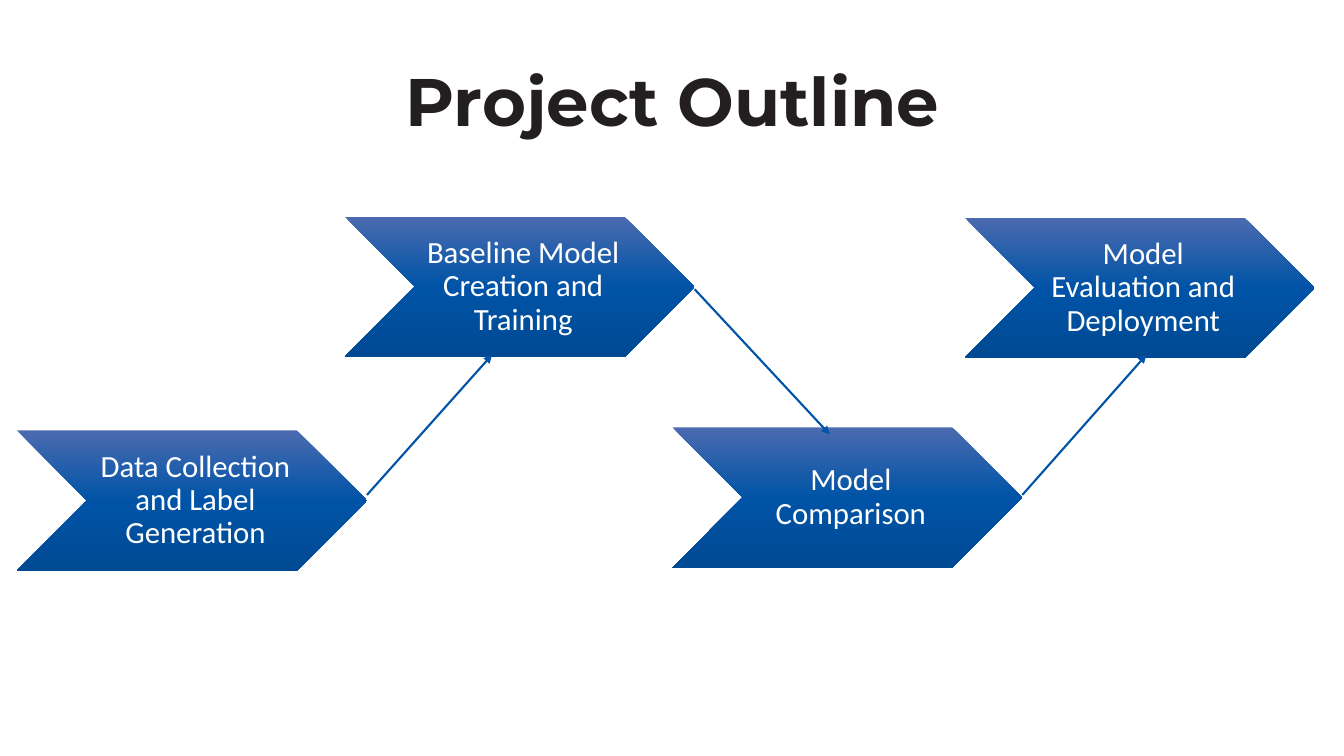
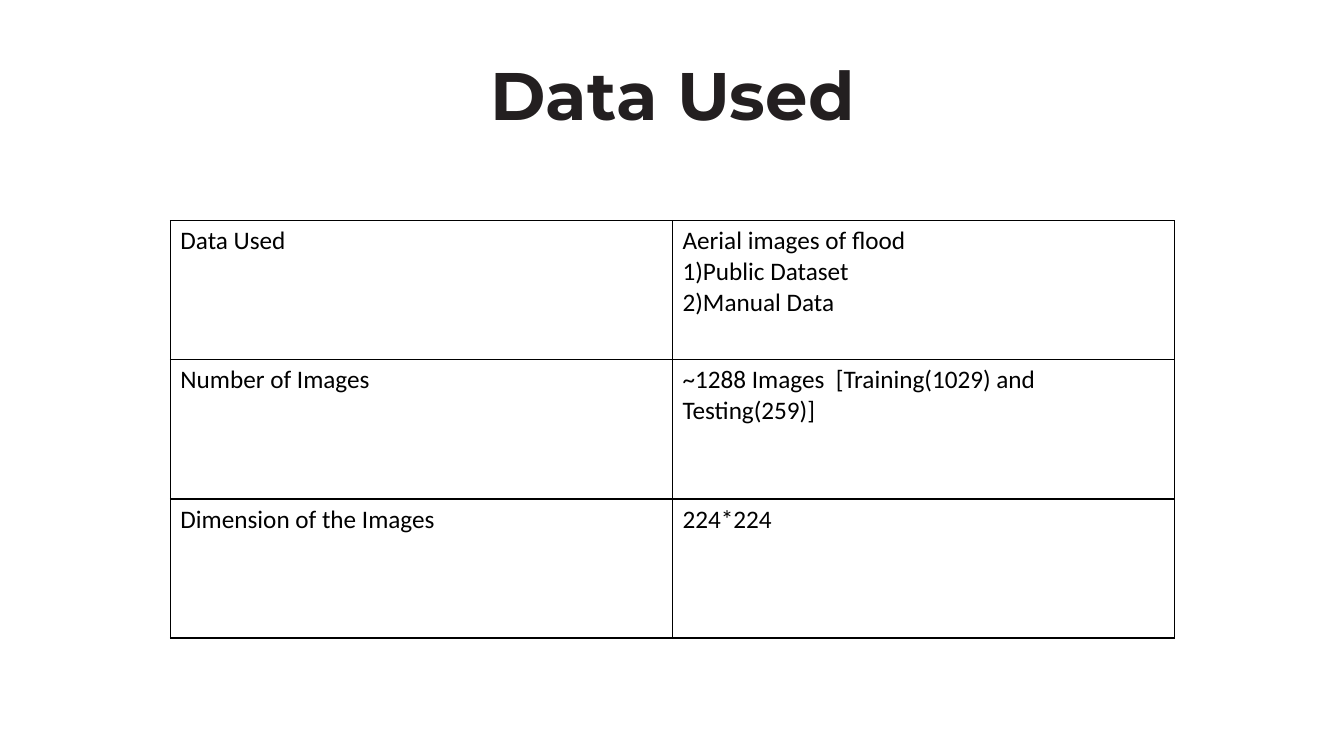
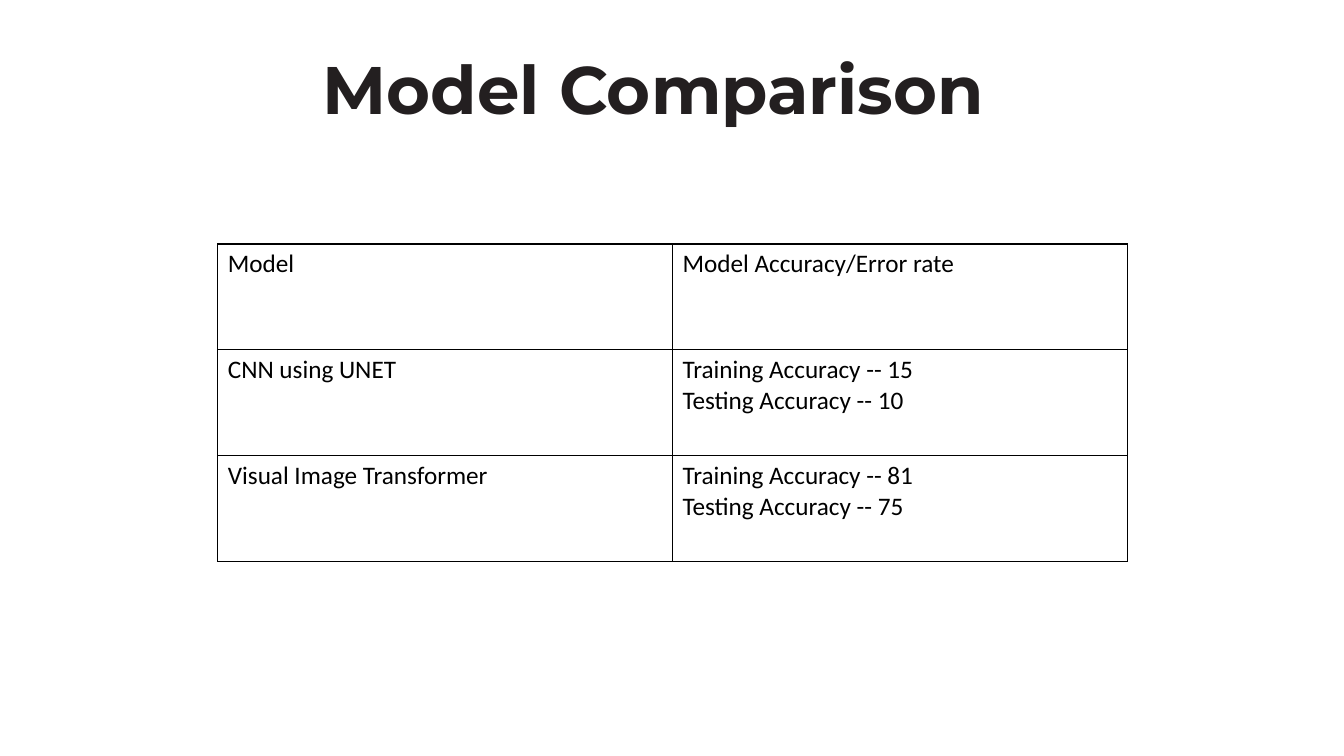
from copy import deepcopy

from lxml.etree import SubElement
from pptx import Presentation
from pptx.dml.color import RGBColor
from pptx.enum.shapes import MSO_CONNECTOR as Connector, MSO_SHAPE as Shape
from pptx.enum.text import MSO_ANCHOR as Anchor, MSO_AUTO_SIZE as AutoSize, PP_ALIGN as Align
from pptx.oxml.ns import qn
from pptx.util import Pt

EMU_PER_PX = 9144  # 100 px to the inch


def px(length):
    return length * EMU_PER_PX


def color(hex_string):
    return RGBColor.from_string(hex_string)


class Deck:
    TITLE_FONT, BODY_FONT = "Montserrat", "Calibri"
    INK, BLACK, WHITE, BLUE = "231F20", "000000", "FFFFFF", "0053A6"
    CHEVRON_GRADIENT = ((0, "4B6BB0"), (0.5, BLUE), (1, "004A94"))
    CHEVRON_SIZE = (347, 139)

    def __init__(self):
        self.presentation = Presentation()
        self.presentation.slide_width = px(1333)
        self.presentation.slide_height = px(750)
        self.slide = None

    def add_text(self, frame, lines, size, font, ink, bold=False, align=Align.LEFT, spacing=1.0):
        """Fill a text frame with one paragraph per line."""
        for index, line in enumerate(lines):
            paragraph = frame.paragraphs[0] if index == 0 else frame.add_paragraph()
            paragraph.alignment = align
            paragraph.line_spacing = spacing
            run = paragraph.add_run()
            run.text = line
            run.font.name = font
            run.font.size = Pt(size)
            run.font.bold = bold
            run.font.color.rgb = color(ink)

    def add_slide(self, title, left, top, width, height, align=Align.CENTER):
        layout = self.presentation.slide_layouts.get_by_name("Title Only")
        self.slide = self.presentation.slides.add_slide(layout)
        shape = self.slide.shapes.title
        shape.left, shape.top = px(left), px(top)
        shape.width, shape.height = px(width), px(height)
        frame = shape.text_frame
        frame.auto_size = AutoSize.NONE
        frame.word_wrap = True
        frame.vertical_anchor = Anchor.MIDDLE
        self.add_text(frame, [title], 48, self.TITLE_FONT, self.INK, True, align, 0.9)

    def add_chevron(self, text, left, top):
        width, height = self.CHEVRON_SIZE
        shape = self.slide.shapes.add_shape(
            Shape.CHEVRON, px(left), px(top), px(width), px(height))
        shape.shadow.inherit = False
        shape.line.fill.background()
        self.fill_gradient(shape)
        frame = shape.text_frame
        frame.word_wrap = True
        frame.vertical_anchor = Anchor.MIDDLE
        frame.margin_left = px(10)
        frame.margin_top = frame.margin_right = frame.margin_bottom = px(3)
        self.add_text(frame, [text], 22, self.BODY_FONT, self.WHITE,
                      align=Align.CENTER, spacing=0.9)

    def fill_gradient(self, shape):
        fill = shape.fill
        fill.gradient()
        fill.gradient_angle = 270
        stop_list = next(shape.element.spPr.iter(qn("a:gsLst")))
        stop_list.append(deepcopy(stop_list[-1]))
        for stop, (position, stop_color) in zip(fill.gradient_stops, self.CHEVRON_GRADIENT):
            stop.position = position
            stop.color.rgb = color(stop_color)

    def add_arrow(self, start, end):
        points = [px(value) for value in (*start, *end)]
        connector = self.slide.shapes.add_connector(Connector.STRAIGHT, *points)
        connector.line.color.rgb = color(self.BLUE)
        connector.line.width = Pt(1.5)
        properties = connector.element.spPr
        SubElement(properties.find(qn("a:ln")), qn("a:tailEnd"), type="triangle")
        SubElement(properties, qn("a:effectLst"))

    def add_table(self, rows, left, top, column_width, row_height):
        """Add a bordered grid; each cell is a list of lines."""
        row_count, column_count = len(rows), len(rows[0])
        table = self.slide.shapes.add_table(
            row_count, column_count, px(left), px(top),
            px(column_width * column_count), px(row_height * row_count)).table
        table.first_row = table.horz_banding = False
        for row, cells in zip(table.rows, rows):
            row.height = px(row_height)
            for cell, lines in zip(row.cells, cells):
                self.add_borders(cell)
                cell.fill.background()
                self.add_text(cell.text_frame, lines, 18, self.BODY_FONT, self.BLACK)

    def add_borders(self, cell):
        properties = cell._tc.get_or_add_tcPr()
        for side in ("lnL", "lnR", "lnT", "lnB"):
            border = SubElement(properties, qn(f"a:{side}"), w=str(Pt(1)))
            fill = SubElement(border, qn("a:solidFill"))
            SubElement(fill, qn("a:srgbClr"), val=self.BLACK)


def main():
    deck = Deck()

    deck.add_slide("Project Outline", 381, 56, 572, 95)
    for text, left, top in (
        ("Data Collection and Label Generation", 17, 427),
        ("Baseline Model Creation and Training", 342, 215),
        ("Model Comparison", 667, 424),
        ("Model Evaluation and Deployment", 957, 216),
    ):
        deck.add_chevron(text, left, top)
    for start, end in (
        ((364, 491), (488, 352)),
        ((689, 287), (823, 431)),
        ((1014, 491), (1137, 352)),
    ):
        deck.add_arrow(start, end)

    deck.add_slide("Data Used", 381, 50, 572, 95)
    deck.add_table([
        (["Data Used"], ["Aerial images of flood", "1)Public Dataset", "2)Manual Data"]),
        (["Number of Images"], ["~1288 Images  [Training(1029) and Testing(259)]"]),
        (["Dimension of the Images"], ["224*224"]),
    ], 169, 219, 498, 138)

    deck.add_slide("Model Comparison", 310, 20, 713, 144, Align.LEFT)
    deck.add_table([
        (["Model"], ["Model Accuracy/Error rate"]),
        (["CNN using UNET"], ["Training Accuracy -- 15", "Testing Accuracy -- 10"]),
        (["Visual Image Transformer"], ["Training Accuracy -- 81", "Testing Accuracy -- 75"]),
    ], 216, 242, 451, 105)

    deck.presentation.save("out.pptx")


if __name__ == "__main__":
    main()
